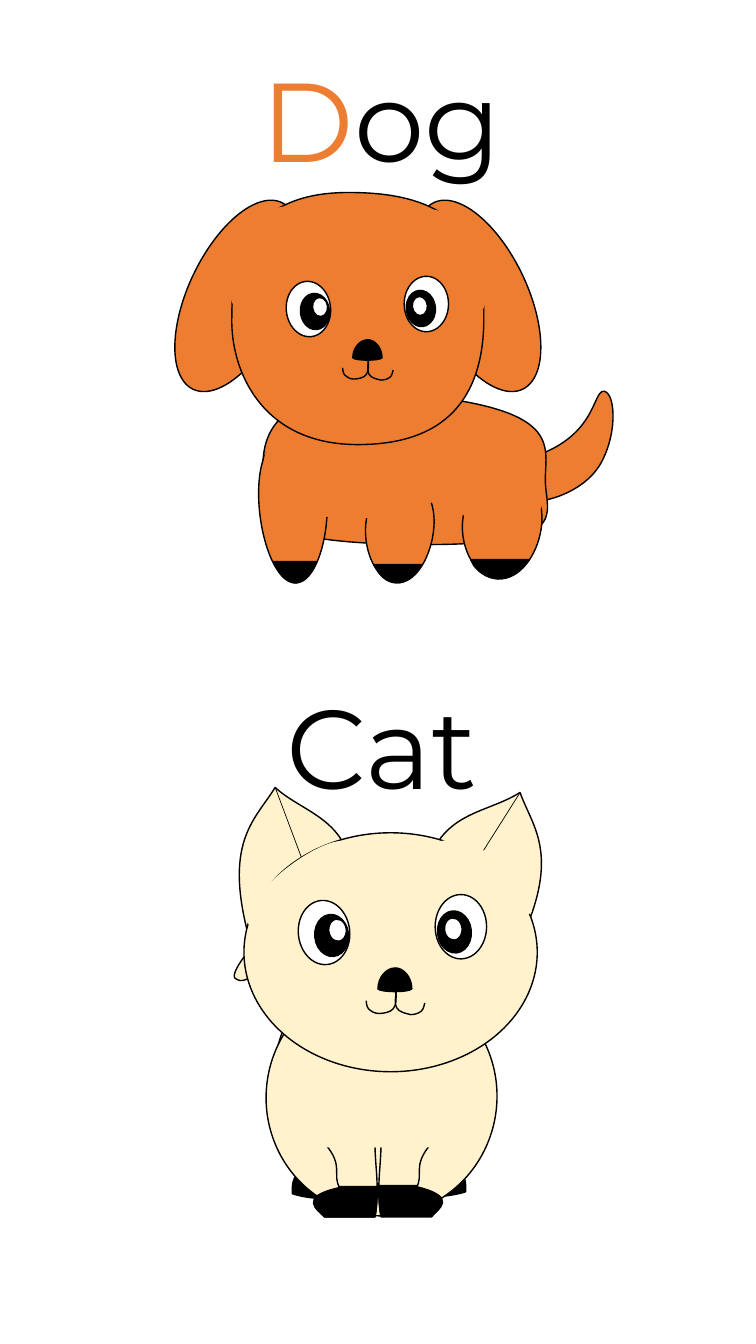
from lxml.etree import SubElement
from pptx import Presentation
from pptx.dml.color import RGBColor
from pptx.enum.shapes import MSO_CONNECTOR, MSO_SHAPE
from pptx.enum.text import MSO_AUTO_SIZE
from pptx.oxml.ns import qn
from pptx.util import Inches, Pt

BLACK, WHITE, ORANGE, CREAM = "000000", "FFFFFF", "ED7D31", "FFF2CC"
TILT = 354.3

# An outline is a start point, then lines (x, y) or cubic curves (two controls, end).
CAT_HIND_LEG = [
    (3.61, 11.3), (3.61, 10.86, 4, 10.76, 4.11, 10.81), (4.21, 10.86, 4.59, 11.35, 4.22, 11.61),
    (4.23, 11.69, 4.63, 11.39, 4.61, 11.8), (4.5, 11.85, 4.17, 11.89, 4.01, 11.81),
    (3.84, 11.73, 3.6, 11.73, 3.61, 11.3)]
CAT_HIND_PAW = [
    (4.47, 11.59), (4.4, 11.6, 4.32, 11.63, 4.27, 11.64), (3.97, 11.8), (4.02, 11.82),
    (4.18, 11.91, 4.51, 11.86, 4.62, 11.82), (4.63, 11.64, 4.56, 11.59, 4.47, 11.59)]
CAT_TAIL = [
    (2.33, 9.7), (2.28, 9.64, 2.57, 9.26, 2.72, 9.24), (2.87, 9.23, 3.08, 9.2, 3.25, 9.64),
    (2.86, 11.4, 3.68, 11.01, 3.76, 11.37), (3.56, 11.42, 3.2, 11.5, 2.8, 10.93),
    (2.58, 10.35, 2.96, 10.11, 2.98, 9.61), (2.91, 9.5, 2.87, 9.45, 2.76, 9.47),
    (2.65, 9.49, 2.46, 9.82, 2.33, 9.7)]
CAT_EARS = [
    [(2.45, 9.22), (2.23, 8.33, 2.54, 8.12, 2.73, 7.81), (2.97, 8.03, 3.34, 8.1, 3.46, 8.49)],
    [(5.18, 9.3), (5.56, 8.46, 5.28, 8.2, 5.16, 7.86), (4.88, 8.04, 4.5, 8.05, 4.31, 8.41)]]
CAT_FORELEG = [
    (3.72, 11.34), (3.22, 11.34), (3.42, 11.57, 3.29, 11.65, 3.37, 11.78),
    (2.95, 11.87, 3.15, 11.99, 3.22, 12.07), (3.72, 12.07), (3.77, 11.79, 3.72, 11.58, 3.72, 11.34)]
CAT_FOREPAW = [
    (3.36, 11.77), (3.74, 11.77), (3.74, 11.78), (3.74, 11.87, 3.74, 11.97, 3.72, 12.07),
    (3.22, 12.07), (3.15, 12, 2.95, 11.88, 3.37, 11.78)]
DOG_TAIL = [
    (5.32, 4.52), (5.92, 4.31, 5.88, 3.88, 5.99, 3.88), (6.1, 3.89, 6.13, 4.26, 5.98, 4.56),
    (5.83, 4.87, 5.44, 4.97, 5.33, 4.97), (5.22, 4.96, 4.72, 4.74, 5.32, 4.52)]
DOG_BODY = [
    (2.61, 4.76), (2.61, 4.51, 2.49, 3.78, 4.04, 3.91), (5.59, 4.05, 5.41, 4.41, 5.41, 4.76),
    (5.41, 5.11, 5.72, 5.43, 4.01, 5.4), (2.3, 5.37, 2.6, 5.01, 2.61, 4.76)]
DOG_LEGS = [
    [(4.98, 5.74), (4.56, 5.79, 4.36, 4.83, 4.98, 4.76), (5.6, 4.68, 5.41, 5.7, 4.98, 5.74)],
    [(3.97, 5.78), (3.6, 5.82, 3.43, 4.87, 3.97, 4.8), (4.5, 4.72, 4.33, 5.73, 3.97, 5.78)],
    [(2.91, 5.78), (3.27, 5.84, 3.44, 4.45, 2.91, 4.34), (2.37, 4.23, 2.54, 5.71, 2.91, 5.78)]]
DOG_BELLY = [
    (4.59, 4.66), (4.73, 4.05, 2.86, 3.6, 2.64, 4.49), (2.41, 5.38, 4.45, 5.27, 4.59, 4.66)]
DOG_HEAD = [
    (2.3, 3.16), (2.3, 2.65, 2.39, 1.89, 3.5, 1.91), (4.61, 1.92, 4.8, 2.47, 4.8, 3.16),
    (4.8, 3.85, 4.51, 4.41, 3.55, 4.41), (2.59, 4.41, 2.29, 3.67, 2.3, 3.16)]
DOG_TEMPLE = [
    (3.36, 2.8), (3.57, 2.17, 2.65, 1.62, 2.34, 2.54), (2.02, 3.46, 3.15, 3.43, 3.36, 2.8)]
DOG_HAUNCH = [
    (5.01, 5.3), (5.47, 5.27, 5.58, 4.54, 4.91, 4.57), (4.23, 4.6, 4.54, 5.33, 5.01, 5.3)]
DOG_PAWS = [
    [(3.71, 5.6), (4.18, 5.6), (4.14, 5.66), (4.09, 5.73, 4.03, 5.77, 3.96, 5.78),
     (3.87, 5.79, 3.79, 5.74, 3.74, 5.65)],
    [(4.67, 5.55), (5.25, 5.55), (5.19, 5.62), (5.13, 5.69, 5.06, 5.73, 4.98, 5.74),
     (4.87, 5.75, 4.77, 5.7, 4.7, 5.61)],
    [(3.14, 5.57), (2.71, 5.57), (2.75, 5.64), (2.79, 5.72, 2.85, 5.77, 2.91, 5.78),
     (2.99, 5.79, 3.06, 5.73, 3.11, 5.63)]]
# Face parts at dog size: eyes from the left eye's corner, muzzle from the nose's corner.
EYE_PARTS = [
    (0, 0, 0.44, 0.55, TILT, WHITE), (1.17, -0.05, 0.44, 0.55, 0, WHITE),
    (0.14, 0.12, 0.29, 0.36, TILT, BLACK), (1.19, 0.09, 0.29, 0.36, TILT, BLACK),
    (0.26, 0.16, 0.15, 0.19, TILT, WHITE), (1.25, 0.15, 0.15, 0.19, TILT, WHITE)]
NOSE = [
    (0.29, 0.18), (0.29, 0.08, 0.22, 0, 0.15, 0), (0.07, 0, 0, 0.08, 0, 0.18),
    (0.03, 0.21, 0.26, 0.21, 0.29, 0.18)]
MOUTH_HALVES = [
    [(0.16, 0.18), (0.15, 0.25, 0.14, 0.31, 0.16, 0.34), (0.18, 0.38, 0.24, 0.39, 0.28, 0.4),
     (0.31, 0.4, 0.35, 0.39, 0.37, 0.37), (0.39, 0.36, 0.4, 0.3, 0.4, 0.3)],
    [(0.15, 0.19), (0.16, 0.25, 0.16, 0.32, 0.13, 0.35), (0.11, 0.38, 0.04, 0.39, 0.01, 0.39),
     (-0.03, 0.39, -0.06, 0.37, -0.08, 0.35), (-0.1, 0.33, -0.1, 0.28, -0.1, 0.28)]]


def rgb(hex_string):
    return RGBColor.from_string(hex_string)


def moved(outline, dx, dy, x_scale=1, y_scale=1):
    return [tuple(dy + value * y_scale if i % 2 else dx + value * x_scale
                  for i, value in enumerate(segment)) for segment in outline]


def mirrored(outline, axis_twice, dy=0):
    """Flip left to right; axis_twice is the sum of two matching x values."""
    return moved(outline, axis_twice, dy, x_scale=-1)


def extent(outline, axis):
    """Return the least and greatest value the drawn outline reaches on an axis."""
    values = [outline[0][axis]]
    for segment in outline[1:]:
        a, (b, c, d) = values[-1], (segment[axis::2] * 3)[:3]
        values += [a * (1 - t) ** 3 + 3 * b * t * (1 - t) ** 2 + 3 * c * t * t * (1 - t) + d * t ** 3
                   for t in (step / 16 for step in range(1, 17))]
    return min(values), max(values)


class Card:
    font = {"name": "Montserrat", "size": Pt(80)}

    def __init__(self, slide):
        self.slide = slide

    def start_animal(self):
        self.shapes = self.slide.shapes.add_group_shape().shapes

    def paint(self, shape, fill, line):
        shape.shadow.inherit = False
        for part, color in ((shape.fill, fill), (shape.line.fill, line)):
            if color is None:
                part.background()
            else:
                part.solid()
                part.fore_color.rgb = rgb(color)
        if line:
            shape.line.width = Pt(1)

    def outline(self, outline, fill, line=BLACK, close=True):
        (left, right), (top, bottom) = extent(outline, 0), extent(outline, 1)
        builder = self.shapes.build_freeform(Inches(left), Inches(top))
        builder.add_line_segments([(Inches(right), Inches(bottom))], close=False)
        shape = builder.convert_to_shape()
        route = shape._element.spPr.find(".//" + qn("a:path"))
        for command in list(route):
            route.remove(command)
        for i, segment in enumerate(moved(outline, -left, -top)):
            kind = "moveTo" if i == 0 else "lnTo" if len(segment) == 2 else "cubicBezTo"
            command = SubElement(route, qn(f"a:{kind}"))
            for x, y in zip(segment[::2], segment[1::2]):
                SubElement(command, qn("a:pt"), x=str(int(Inches(x))), y=str(int(Inches(y))))
        if close:
            SubElement(route, qn("a:close"))
        self.paint(shape, fill, line)

    def preset(self, box, fill, line=BLACK, rotation=0, kind=MSO_SHAPE.OVAL):
        shape = self.shapes.add_shape(kind, *map(Inches, box))
        shape.rotation = rotation
        self.paint(shape, fill, line)

    def crease(self, *ends):
        crease = self.shapes.add_connector(MSO_CONNECTOR.STRAIGHT, *map(Inches, ends))
        crease.line.color.rgb = rgb(BLACK)
        crease.line.width = Pt(0.5)
        SubElement(crease._element.spPr, qn("a:effectLst"))

    def face(self, eyes_at, nose_at, scale=1):
        for x, y, width, height, rotation, color in EYE_PARTS:
            box = (eyes_at[0] + x * scale, eyes_at[1] + y * scale, width * scale, height * scale)
            self.preset(box, color, rotation=rotation)
        self.outline(moved(NOSE, *nose_at, scale, scale), BLACK)
        for half in MOUTH_HALVES:
            self.outline(moved(half, *nose_at, scale, scale), None, close=False)

    def word(self, box, *parts):
        frame = self.shapes.add_textbox(*map(Inches, box)).text_frame
        frame.word_wrap = True
        frame.auto_size = MSO_AUTO_SIZE.SHAPE_TO_FIT_TEXT
        for text, color in parts:
            run = frame.paragraphs[0].add_run()
            run.text = text
            for name, value in self.font.items():
                setattr(run.font, name, value)
            run.font.color.rgb = rgb(color)


def draw_cat(card):
    card.start_animal()
    for leg, paw in ((CAT_HIND_LEG, CAT_HIND_PAW),
                     (mirrored(CAT_HIND_LEG, 7.53, 0.03), mirrored(CAT_HIND_PAW, 7.52, 0.02))):
        card.outline(leg, CREAM)
        card.outline(paw, BLACK)
    card.outline(CAT_TAIL, CREAM)
    card.preset((2.64, 9.7, 2.29, 2.36), CREAM, rotation=6.4)
    for ear in CAT_EARS:
        card.outline(ear, CREAM)
    card.crease(2.73, 7.81, 3.09, 8.77)
    card.crease(5.16, 7.86, 4.51, 8.89)
    card.preset((2.42, 8.26, 2.91, 2.37), CREAM)
    for box, rotation in (((2.33, 8.56, 1.3, 0.42), 322.2), ((4.24, 8.45, 1.06, 0.42), 211.3),
                          ((4.29, 8.63, 1.06, 0.28), 211.3)):
        card.preset(box, CREAM, None, rotation)
    card.face((2.96, 8.93), (3.75, 9.6), 1.16)
    for leg in (CAT_FORELEG, mirrored(CAT_FORELEG, 7.5)):
        card.outline(leg, CREAM)
    card.preset((3.14, 10.7, 1.19, 0.68), CREAM, None, kind=MSO_SHAPE.RECTANGLE)
    for paw in (CAT_FOREPAW, mirrored(CAT_FOREPAW, 7.5, -0.01)):
        card.outline(paw, BLACK)
    card.word((2.74, 6.67, 2.51, 1.45), ("Cat", BLACK))


def draw_dog(card):
    card.start_animal()
    card.outline(DOG_TAIL, ORANGE)
    for ear_left, rotation in ((4.26, 334.6), (1.87, 25.4)):
        card.preset((ear_left, 1.91, 0.97, 2.05), ORANGE, rotation=rotation)
    for part in (DOG_BODY, *DOG_LEGS):
        card.outline(part, ORANGE)
    card.outline(DOG_BELLY, ORANGE, ORANGE)
    card.outline(DOG_HEAD, ORANGE)
    for blend in (DOG_TEMPLE, mirrored(DOG_TEMPLE, 7.11, 0.03), DOG_HAUNCH):
        card.outline(blend, ORANGE, ORANGE)
    for paw in DOG_PAWS:
        card.outline(paw, BLACK)
    card.face((2.84, 2.79), (3.5, 3.37))
    card.word((2.5, 0.45, 2.78, 1.45), ("D", ORANGE), ("og", BLACK))


deck = Presentation()
deck.slide_width, deck.slide_height = Inches(7.5), Inches(13.33)
animal_card = Card(deck.slides.add_slide(deck.slide_layouts[6]))
draw_cat(animal_card)
draw_dog(animal_card)
deck.save("out.pptx")
